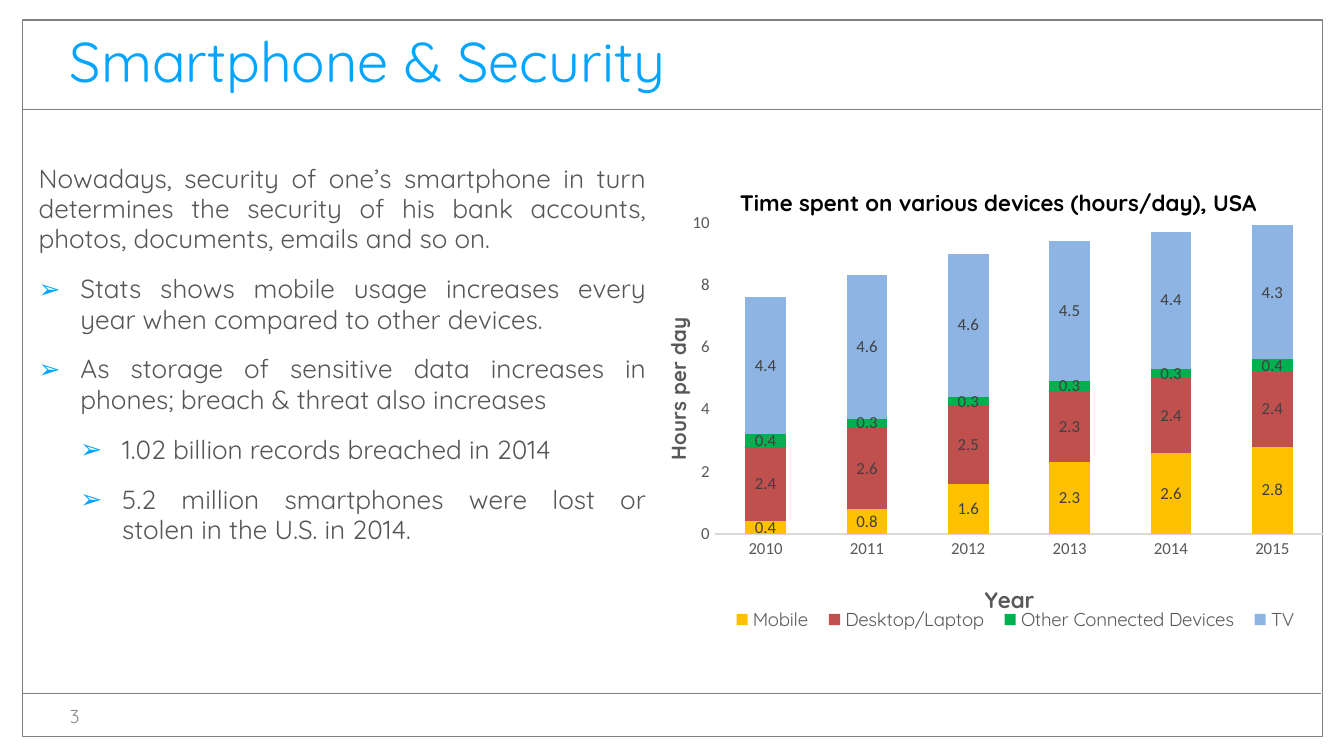
import pptx
import pptx.chart.data
import pptx.dml.color
import pptx.enum.chart
import pptx.enum.shapes
import pptx.enum.text
import pptx.oxml
import pptx.oxml.ns
import pptx.util
from dataclasses import dataclass
from lxml import etree

Cm, Pt = pptx.util.Cm, pptx.util.Pt
ALIGN = pptx.enum.text.PP_ALIGN
ANCHOR = pptx.enum.text.MSO_ANCHOR
TICK = pptx.enum.chart.XL_TICK_MARK
FACE, PLAIN = "Quicksand", "Calibri"
BLUE, GREY, RULE, SOFT = "00A5FF", "555659", "808080", "595959"
STEP = 0.79


@dataclass
class Box:
    left: float
    top: float
    width: float
    height: float

    def place(self) -> tuple:
        return Cm(self.left), Cm(self.top), Cm(self.width), Cm(self.height)


@dataclass
class Point:
    text: str
    level: int = 0


@dataclass
class Series:
    name: str
    color: str
    values: tuple


POINTS = [
    Point("Nowadays, security of one’s smartphone in turn determines the security "
          "of his bank accounts, photos, documents, emails and so on."),
    Point("Stats shows mobile usage increases every year when compared to other devices.", 1),
    Point("As storage of sensitive data increases in phones; breach & threat also increases", 1),
    Point("1.02 billion records breached in 2014", 2),
    Point("5.2 million smartphones were lost or\vstolen in the U.S. in 2014.", 2),
]
YEARS = [str(year) for year in range(2010, 2016)]
SERIES = [
    Series("Mobile", "FFC000", (0.4, 0.8, 1.6, 2.3, 2.6, 2.8)),
    Series("Desktop/Laptop", "C0504D", (2.4, 2.6, 2.5, 2.3, 2.4, 2.4)),
    Series("Other Connected Devices", "00B050", (0.4, 0.3, 0.3, 0.3, 0.3, 0.4)),
    Series("TV", "8EB4E3", (4.4, 4.6, 4.6, 4.5, 4.4, 4.3)),
]


def tint(color: str) -> pptx.dml.color.RGBColor:
    return pptx.dml.color.RGBColor.from_string(color)


def style(font, size: float, color: str, face: str = FACE, bold: bool = False) -> None:
    font.size, font.name, font.bold = Pt(size), face, bold
    font.color.rgb = tint(color)


def paint(fill, color: str) -> None:
    fill.solid()
    fill.fore_color.rgb = tint(color)


def stroke(line, color: str) -> None:
    line.color.rgb = tint(color)
    line.width = Pt(0.75)


def frame(slide, box: Box):
    text = slide.shapes.add_textbox(*box.place()).text_frame
    text.word_wrap = True
    return text


def label(slide, box: Box, text: str, size: float, color: str, anchor) -> None:
    body = frame(slide, box)
    body.vertical_anchor = anchor
    para = body.paragraphs[0]
    para.text = text
    style(para.font, size, color)


def rule(slide, top: float) -> None:
    kind = pptx.enum.shapes.MSO_CONNECTOR.STRAIGHT
    line = slide.shapes.add_connector(kind, Cm(0.43), Cm(top), Cm(24.97), Cm(top))
    stroke(line.line, RULE)
    props = line._element.spPr
    etree.SubElement(props, pptx.oxml.ns.qn("a:effectLst"))


def bullet(para, level: int) -> None:
    props = para._p.get_or_add_pPr()
    props.set("marL", str(Cm(STEP * level)))
    props.set("indent", str(-Cm(STEP)))
    space = pptx.oxml.ns.nsdecls("a")
    for xml in (f'<a:buClr {space}><a:srgbClr val="{BLUE}"/></a:buClr>',
                f'<a:buFont {space} typeface="Arial"/>',
                f'<a:buChar {space} char="➢"/>'):
        props.append(pptx.oxml.parse_xml(xml))


def write(slide, box: Box, points: list[Point]) -> None:
    body = frame(slide, box)
    for index, point in enumerate(points):
        para = body.add_paragraph() if index else body.paragraphs[0]
        para.text = point.text
        para.alignment = ALIGN.JUSTIFY
        para.line_spacing = 0.97
        para.space_before, para.space_after = Pt(2.4), Pt(8)
        if point.level:
            bullet(para, point.level)
        style(para.font, 14, GREY)


def layout(item, mode: str = "edge", **spots: float) -> None:
    """Fix a chart part at fractions of the chart area."""
    qn = pptx.oxml.ns.qn
    old = item.find(qn("c:layout"))
    if old is None:
        old = etree.Element(qn("c:layout"))
        heads = [kid for kid in item if kid.tag in (qn("c:tx"), qn("c:legendPos"))]
        item.insert(item.index(heads[-1]) + 1 if heads else 0, old)
    for kid in list(old):
        old.remove(kid)
    hand = etree.SubElement(old, qn("c:manualLayout"))
    if mode == "inner":
        etree.SubElement(hand, qn("c:layoutTarget")).set("val", "inner")
    for name in ("xMode", "yMode"):
        etree.SubElement(hand, qn(f"c:{name}")).set("val", "edge")
    for name, value in spots.items():
        etree.SubElement(hand, qn(f"c:{name}")).set("val", str(value))


def head(title, text: str, size: float, color: str, x: float, y: float) -> None:
    para = title.text_frame.paragraphs[0]
    para.text = text
    style(para.font, size, color, bold=True)
    layout(title._element, x=x, y=y)


def graph(slide, box: Box) -> None:
    data = pptx.chart.data.CategoryChartData()
    data.categories = YEARS
    for item in SERIES:
        data.add_series(item.name, item.values)
    kind = pptx.enum.chart.XL_CHART_TYPE.COLUMN_STACKED
    chart = slide.shapes.add_chart(kind, *box.place(), data).chart
    style(chart.font, 10, "000000", PLAIN)
    head(chart.chart_title, "Time spent on various devices (hours/day), USA",
         12, "000000", 0.13, 0.05)

    across, up = chart.category_axis, chart.value_axis
    for axis in (across, up):
        axis.major_tick_mark = axis.minor_tick_mark = TICK.NONE
        axis.has_major_gridlines = False
        style(axis.tick_labels.font, 9, SOFT, PLAIN)
    stroke(across.format.line, "D9D9D9")
    up.format.line.fill.background()
    up.minimum_scale, up.maximum_scale, up.major_unit = 0, 10, 2
    head(across.axis_title, "Year", 12, SOFT, 0.48, 0.84)
    head(up.axis_title, "Hours per day", 11, SOFT, 0.02, 0.31)

    plot = chart.plots[0]
    plot.gap_width, plot.overlap, plot.vary_by_categories = 150, 100, False
    for series, item in zip(plot.series, SERIES):
        paint(series.format.fill, item.color)
        marks = series.data_labels
        marks.show_value = True
        marks.position = pptx.enum.chart.XL_LABEL_POSITION.CENTER
        style(marks.font, 9, "404040", PLAIN)
    layout(chart._chartSpace.chart.plotArea, "inner", x=0.1, y=0.13, w=0.87, h=0.62)

    chart.has_legend = True
    chart.legend.position = pptx.enum.chart.XL_LEGEND_POSITION.BOTTOM
    chart.legend.include_in_layout = False
    style(chart.legend.font, 10, SOFT)
    layout(chart.legend._element, x=0.11, y=0.89, w=0.84, h=0.06)


def main() -> None:
    deck = pptx.Presentation()
    deck.slide_width, deck.slide_height = Cm(25.4), Cm(14.29)
    slide = deck.slides.add_slide(deck.slide_layouts[6])
    shape = pptx.enum.shapes.MSO_SHAPE.RECTANGLE
    edge = slide.shapes.add_shape(shape, *Box(0.43, 0.38, 24.56, 13.54).place())
    edge.shadow.inherit = False
    edge.fill.background()
    stroke(edge.line, RULE)
    for top in (2.07, 13.11):
        rule(slide, top)
    label(slide, Box(1.07, 0.38, 19.69, 1.98), "Smartphone & Security", 30, BLUE, ANCHOR.TOP)
    label(slide, Box(1.07, 13.16, 1.07, 0.76), "3", 10, "8C8C8C", ANCHOR.MIDDLE)
    write(slide, Box(0.48, 2.97, 11.99, 9.73), POINTS)
    graph(slide, Box(12.19, 2.97, 13.21, 9.5))
    deck.save("out.pptx")


if __name__ == "__main__":
    main()
